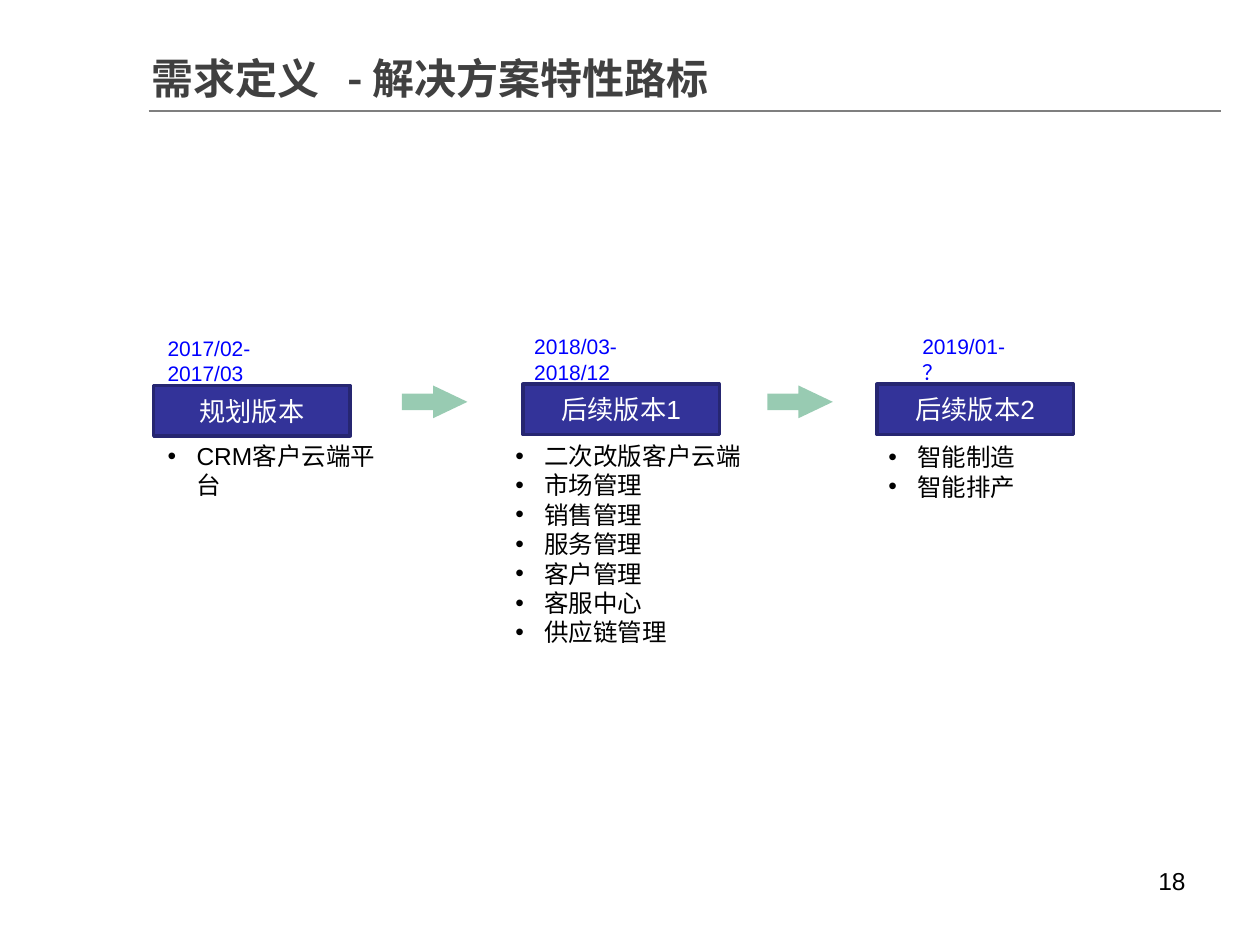
from typing import NamedTuple

from lxml import etree
from pptx import Presentation
from pptx.dml.color import RGBColor
from pptx.enum.shapes import MSO_CONNECTOR, MSO_SHAPE
from pptx.enum.text import MSO_ANCHOR, PP_ALIGN
from pptx.oxml.ns import qn
from pptx.util import Inches, Pt

RECTANGLE, UP_ARROW = MSO_SHAPE.RECTANGLE, MSO_SHAPE.UP_ARROW
STRAIGHT = MSO_CONNECTOR.STRAIGHT
LEFT, CENTER, RIGHT = PP_ALIGN.LEFT, PP_ALIGN.CENTER, PP_ALIGN.RIGHT
TOP, MIDDLE = MSO_ANCHOR.TOP, MSO_ANCHOR.MIDDLE

NAVY = RGBColor(0x33, 0x33, 0x99)
DARK_NAVY = RGBColor(0x26, 0x26, 0x71)
GREEN = RGBColor(0x33, 0x99, 0x66)
BLUE = RGBColor(0x00, 0x00, 0xFF)
BLACK = RGBColor(0x00, 0x00, 0x00)
WHITE = RGBColor(0xFF, 0xFF, 0xFF)
GRAY = RGBColor(0x7F, 0x7F, 0x7F)
CHARCOAL = RGBColor(0x40, 0x40, 0x40)

LATIN_FONT, TITLE_FONT = "Arial", "Noto Sans CJK SC"
SLIDE_W, SLIDE_H = 10, 7.5
INSET_X, INSET_Y = 0.09, 0.04
BULLET_INDENT = 0.23
HEADER_W, HEADER_H = 1.56, 0.4
ARROW_W, ARROW_H, ARROW_Y = 0.26, 0.52, 2.93


class Box(NamedTuple):
    left: float
    top: float
    width: float
    height: float

    def emu(self) -> list:
        return [Inches(value) for value in self]


class Release(NamedTuple):
    name: str
    period: str
    features: list[str]
    header: Box
    period_box: Box
    feature_box: Box


RELEASES = [
    Release("规划版本", "2017/02-2017/03", ["CRM客户云端平台"],
            Box(1.22, 3.06, HEADER_W, HEADER_H),
            Box(1.24, 2.62, 1.43, 0.28), Box(1.24, 3.46, 1.94, 0.8)),
    Release("后续版本1", "2018/03-2018/12",
            ["二次改版客户云端", "市场管理", "销售管理", "服务管理",
             "客户管理", "客服中心", "供应链管理"],
            Box(4.15, 3.05, HEADER_W, HEADER_H),
            Box(4.15, 2.61, 1.43, 0.28), Box(4, 3.46, 2.01, 2.2)),
    Release("后续版本2", "2019/01-？", ["智能制造", "智能排产"],
            Box(6.96, 3.05, HEADER_W, HEADER_H),
            Box(7.23, 2.61, 0.98, 0.29), Box(6.96, 3.47, 1.78, 0.57)),
]
ARROW_LEFTS = [3.32, 6.22]


def write(shape, lines: list[str], size: float, color: RGBColor,
          align=LEFT, anchor=TOP, bulleted: bool = False,
          wrap: bool = True) -> None:
    frame = shape.text_frame
    frame.word_wrap = wrap
    frame.vertical_anchor = anchor
    frame.margin_left = frame.margin_right = Inches(INSET_X)
    frame.margin_top = frame.margin_bottom = Inches(INSET_Y)
    for index, line in enumerate(lines):
        paragraph = frame.add_paragraph() if index else frame.paragraphs[0]
        paragraph.alignment = align
        if bulleted:
            add_bullet(paragraph)
        run = paragraph.add_run()
        run.text = line
        run.font.name = LATIN_FONT
        run.font.size = Pt(size)
        run.font.color.rgb = color


def add_bullet(paragraph) -> None:
    properties = paragraph._p.get_or_add_pPr()
    properties.set("marL", str(Inches(BULLET_INDENT)))
    properties.set("indent", str(-Inches(BULLET_INDENT)))
    etree.SubElement(properties, qn("a:buFont"), typeface=LATIN_FONT)
    etree.SubElement(properties, qn("a:buChar"), char="•")


def add_release(slide, release: Release) -> None:
    shapes = slide.shapes
    features = shapes.add_textbox(*release.feature_box.emu())
    write(features, release.features, 14, BLACK, bulleted=True)

    header = shapes.add_shape(RECTANGLE, *release.header.emu())
    header.shadow.inherit = False
    header.fill.solid()
    header.fill.fore_color.rgb = NAVY
    header.line.color.rgb = DARK_NAVY
    header.line.width = Pt(2)
    write(header, [release.name], 15, WHITE, CENTER, MIDDLE, wrap=False)

    period = shapes.add_textbox(*release.period_box.emu())
    write(period, [release.period], 12, BLUE)


def add_arrow(slide, left: float) -> None:
    """Half-transparent arrow, turned to point at the next release."""
    arrow = slide.shapes.add_shape(
        UP_ARROW, *Box(left, ARROW_Y, ARROW_W, ARROW_H).emu())
    arrow.rotation = 90
    arrow.adjustments[0] = 0.5
    arrow.adjustments[1] = 1.05
    arrow.shadow.inherit = False
    arrow.fill.solid()
    arrow.fill.fore_color.rgb = GREEN
    color = arrow.fill._xPr.find(qn("a:solidFill"))[0]
    etree.SubElement(color, qn("a:alpha"), val="50000")
    arrow.line.fill.background()


def add_title(slide, text: str) -> None:
    title = slide.shapes.title
    title.left, title.top, title.width, title.height = Box(
        1.1, 0.35, 6.34, 0.53).emu()
    title.text_frame.vertical_anchor = MIDDLE
    paragraph = title.text_frame.paragraphs[0]
    paragraph.alignment = LEFT
    run = paragraph.add_run()
    run.text = text
    run.font.size = Pt(24)
    run.font.bold = True
    run.font.color.rgb = CHARCOAL
    run.font.name = TITLE_FONT
    etree.SubElement(run._r.get_or_add_rPr(), qn("a:ea"), typeface=TITLE_FONT)

    rule = slide.shapes.add_connector(
        STRAIGHT, Inches(1.18), Inches(0.88), Inches(9.69), Inches(0.88))
    rule.line.color.rgb = GRAY
    rule.line.width = Pt(1)
    etree.SubElement(rule._element.spPr, qn("a:effectLst"))


def main() -> None:
    deck = Presentation()
    deck.slide_width, deck.slide_height = Inches(SLIDE_W), Inches(SLIDE_H)
    slide = deck.slides.add_slide(deck.slide_layouts[5])
    add_title(slide, "需求定义   - 解决方案特性路标")
    for left in ARROW_LEFTS:
        add_arrow(slide, left)
    for release in RELEASES:
        add_release(slide, release)
    page_number = slide.shapes.add_textbox(*Box(7.17, 6.83, 2.33, 0.52).emu())
    write(page_number, ["18"], 14, BLACK, RIGHT)
    deck.save("out.pptx")


if __name__ == "__main__":
    main()
